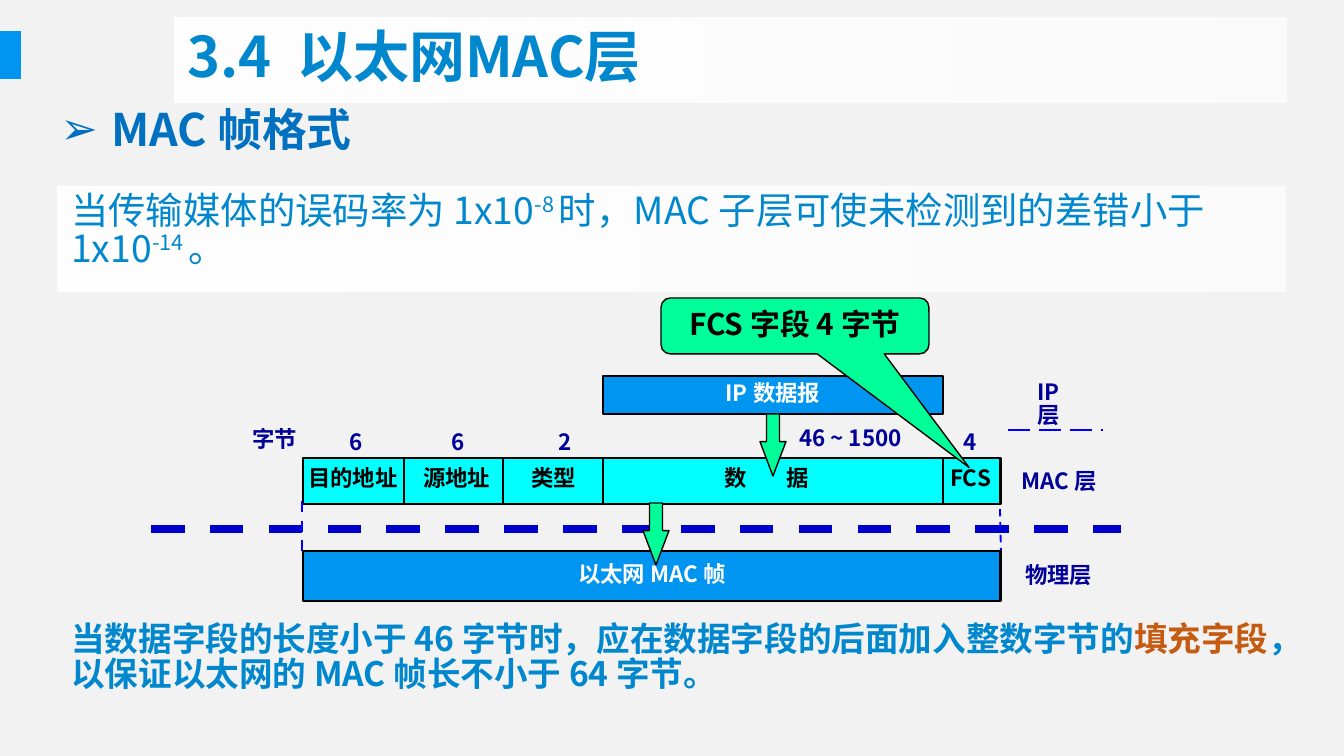
"""Build the slide on the Ethernet MAC frame format."""
import lxml.etree
import pptx
import pptx.dml.color
import pptx.enum.dml
import pptx.enum.shapes
import pptx.enum.text
import pptx.oxml.ns
import pptx.util

PX = 6804
FONT = "Noto Sans CJK SC"
BLUE, NAVY, CYAN, GREEN = "0095F0", "000099", "00FFFF", "00FF99"
TEXT_BLUE, WHITE, BLACK = "0087CD", "FFFFFF", "000000"
rgb = pptx.dml.color.RGBColor.from_string
qn = pptx.oxml.ns.qn
SHAPE = pptx.enum.shapes.MSO_SHAPE
DASH = pptx.enum.dml.MSO_LINE
ALIGN = pptx.enum.text.PP_ALIGN
ANCHOR = pptx.enum.text.MSO_ANCHOR


def write(p, text, size=12, color=NAVY, bold=True, base=0, align=ALIGN.LEFT):
    p.alignment = align
    p.line_spacing = 0.85
    r = p.add_run()
    r.text = text
    r.font.name = FONT
    r.font.size = pptx.util.Pt(size)
    r.font.bold = bold
    r.font.color.rgb = rgb(color)
    rPr = r.font._element
    lxml.etree.SubElement(rPr, qn("a:ea")).set("typeface", FONT)
    if base:
        rPr.set("baseline", str(base * 1000))


def draw(kind, x, y, w, h, fill, line=0):
    sp = s.shapes.add_shape(kind, x * PX, y * PX, w * PX, h * PX)
    sp.shadow.inherit = False
    sp.fill.solid()
    sp.fill.fore_color.rgb = rgb(fill)
    if line:
        sp.line.color.rgb = rgb(BLACK)
        sp.line.width = pptx.util.Pt(line)
    else:
        sp.line.fill.background()
    return sp


prs = pptx.Presentation()
prs.slide_width, prs.slide_height = 1344 * PX, 756 * PX
s = prs.slides.add_slide(prs.slide_layouts[1])
s.background.fill.solid()
s.background.fill.fore_color.rgb = rgb("F2F2F2")
title, heading = s.placeholders

draw(SHAPE.RECTANGLE, 0, 31, 21, 48, BLUE)

title.left, title.top, title.width, title.height = 174 * PX, 18 * PX, 1112 * PX, 85 * PX
title.text_frame.vertical_anchor = ANCHOR.MIDDLE
write(title.text_frame.paragraphs[0], "3.4  以太网MAC层", size=30, color=TEXT_BLUE)

heading.left, heading.top, heading.width, heading.height = 47 * PX, 103 * PX, 1239 * PX, 67 * PX
p = heading.text_frame.paragraphs[0]
p.space_before = 0
pPr = p._p.get_or_add_pPr()
pPr.set("marL", str(51 * PX))
pPr.set("indent", str(-51 * PX))
lxml.etree.SubElement(pPr, qn("a:buChar")).set("char", "➢")
write(p, "MAC 帧格式", size=24, color="0070C0")

error_rate = draw(SHAPE.RECTANGLE, 58, 187, 1228, 105, WHITE)
error_rate.text_frame.vertical_anchor = ANCHOR.TOP
for text, base in [("当传输媒体的误码率为 1x10", 0), ("-8 ", 30),
                   ("时，MAC 子层可使未检测到的差错小于 1x10", 0), ("-14 ", 30), ("。", 0)]:
    write(error_rate.text_frame.paragraphs[0], text, size=20, color=TEXT_BLUE,
          bold=False, base=base)

for sp in (title, error_rate):
    sp.fill.gradient()
    sp.fill.gradient_angle = 0
    for stop in sp.fill.gradient_stops:
        stop.color.rgb = rgb(WHITE)
    last = sp._element.spPr.findall(".//" + qn("a:srgbClr"))[-1]
    lxml.etree.SubElement(last, qn("a:alpha")).set("val", "67000")

draw(SHAPE.RECTANGLE, 303, 458, 698, 46, CYAN, 1.5)
lines = [(x, 458, x, 504, BLACK, 1, None) for x in (404, 503, 603, 943)]
lines += [(151, 529, 1121, 529, "0000CC", 4.5, DASH.DASH),
          (302, 501, 302, 553, "0000FF", 1.5, DASH.DASH),
          (1000, 509, 1001, 552, "0000FF", 1, DASH.DASH),
          (1008, 430, 1103, 430, "0000FF", 1.5, DASH.LONG_DASH)]
for x1, y1, x2, y2, color, width, dash in lines:
    c = s.shapes.add_connector(pptx.enum.shapes.MSO_CONNECTOR.STRAIGHT,
                               x1 * PX, y1 * PX, x2 * PX, y2 * PX)
    c.line.color.rgb = rgb(color)
    c.line.width = pptx.util.Pt(width)
    if dash:
        c.line.dash_style = dash
    lxml.etree.SubElement(c._element.spPr, qn("a:effectLst"))

for text, y, x, w, h, width in [("IP 数据报", 376, 603, 340, 38, 0.75),
                                ("以太网 MAC 帧", 551, 303, 698, 50, 1.5)]:
    sp = draw(SHAPE.RECTANGLE, x, y, w, h, BLUE, width)
    sp.text_frame.word_wrap = False
    write(sp.text_frame.paragraphs[0], text, color=WHITE, align=ALIGN.CENTER)

for x, y in [(643, 503), (760, 414)]:
    arrow = draw(SHAPE.DOWN_ARROW, x, y, 26, 62, GREEN, 0.75)
    arrow.adjustments[0], arrow.adjustments[1] = 0.5, 1.32

for text, x, y, w, color in [
        ("目的地址", 295, 462, 117, BLACK), ("源地址", 410, 462, 94, BLACK),
        ("类型", 518, 462, 72, BLACK), ("数\t据", 711, 462, 126, BLACK),
        ("FCS", 937, 462, 68, BLACK), ("字节", 239, 423, 72, NAVY),
        ("6", 336, 426, 40, NAVY), ("6", 438, 426, 40, NAVY),
        ("2", 545, 426, 40, NAVY), ("46 ~ 1500", 786, 422, 141, NAVY),
        ("4", 950, 426, 40, NAVY), ("IP 层", 1024, 376, 70, NAVY),
        ("MAC 层", 1008, 465, 112, NAVY), ("物理层", 1012, 559, 94, NAVY)]:
    tf = s.shapes.add_textbox(x * PX, y * PX, w * PX, 40 * PX).text_frame
    tf.word_wrap = text == "IP 层"
    p = tf.paragraphs[0]
    if "\t" in text:
        tabs = lxml.etree.SubElement(p._p.get_or_add_pPr(), qn("a:tabLst"))
        lxml.etree.SubElement(tabs, qn("a:tab"), pos=str(62 * PX), algn="l")
    write(p, text, color=color)

callout = draw(SHAPE.ROUNDED_RECTANGULAR_CALLOUT, 661, 298, 268, 56, GREEN, 0.75)
callout.adjustments[0], callout.adjustments[1] = 0.65, 2.53
callout.text_frame.vertical_anchor = ANCHOR.MIDDLE
write(callout.text_frame.paragraphs[0], "FCS 字段 4 字节", size=16, color=BLACK,
      align=ALIGN.CENTER)

tf = s.shapes.add_textbox(58 * PX, 618 * PX, 1228 * PX, 95 * PX).text_frame
tf.word_wrap = True
for text, color in [("当数据字段的长度小于 46 字节时，应在数据字段的后面加入整数字节的", TEXT_BLUE),
                    ("填充字段", "C55A11"),
                    ("，以保证以太网的 MAC 帧长不小于 64 字节。", TEXT_BLUE)]:
    write(tf.paragraphs[0], text, size=18, color=color)

prs.save("out.pptx")
